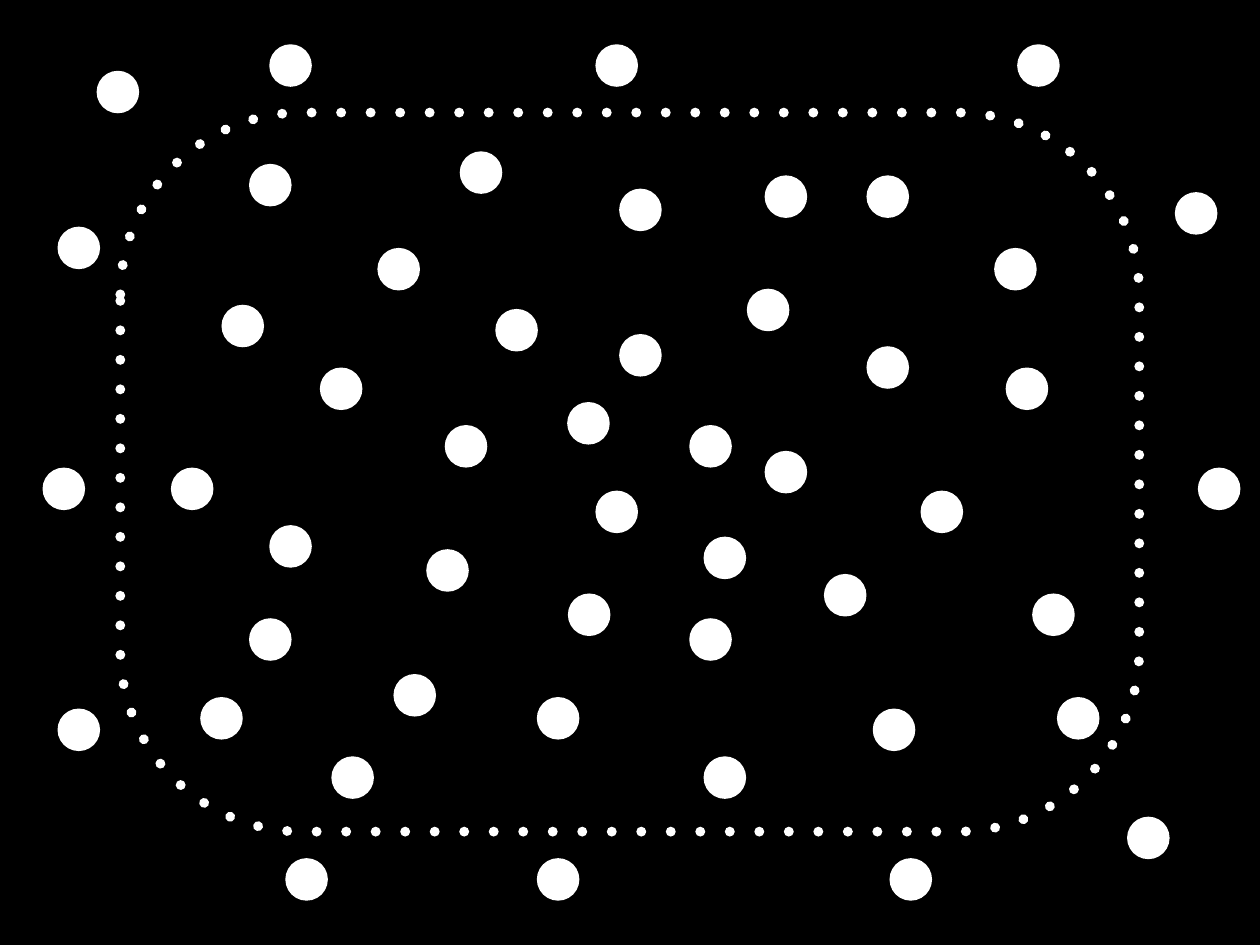
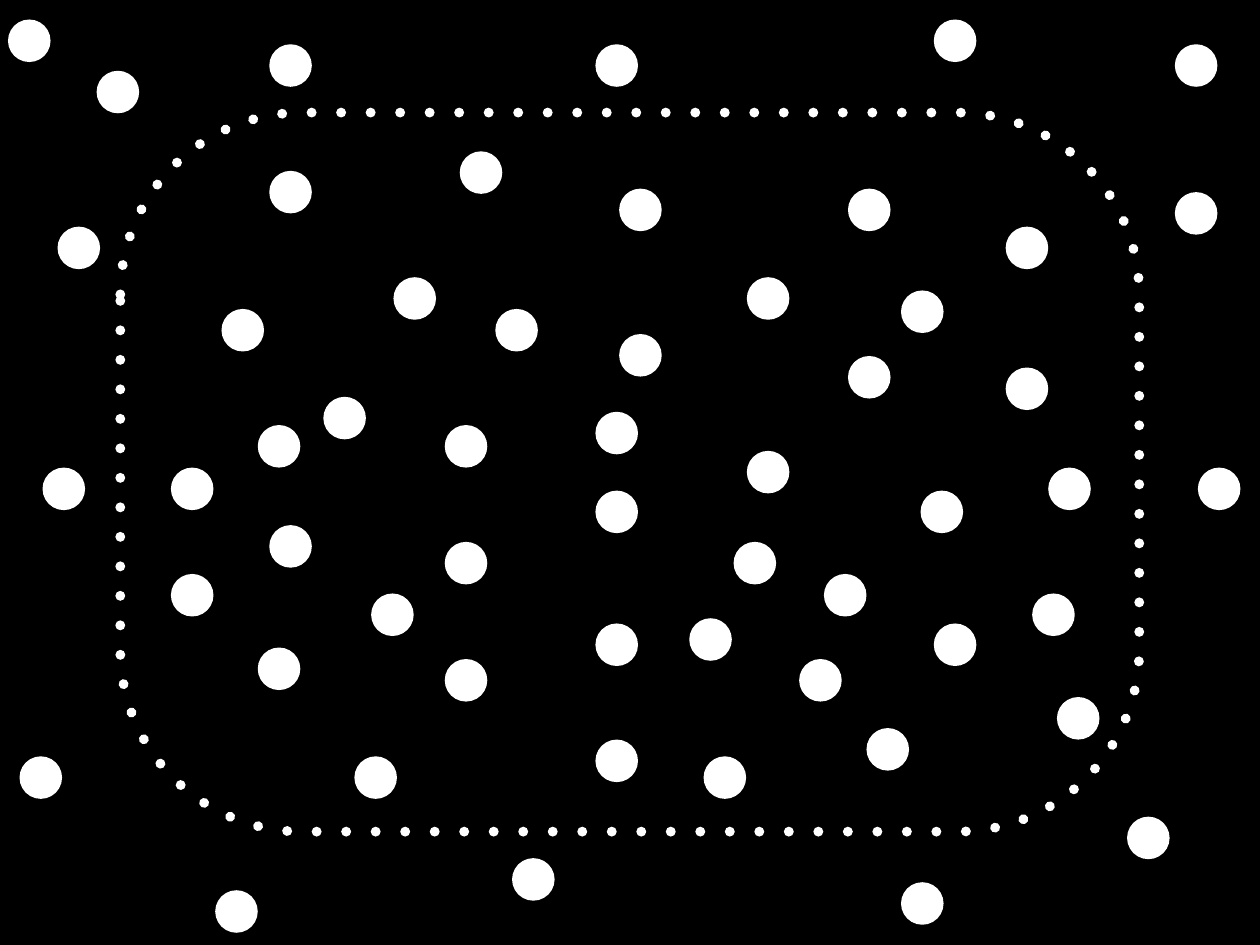
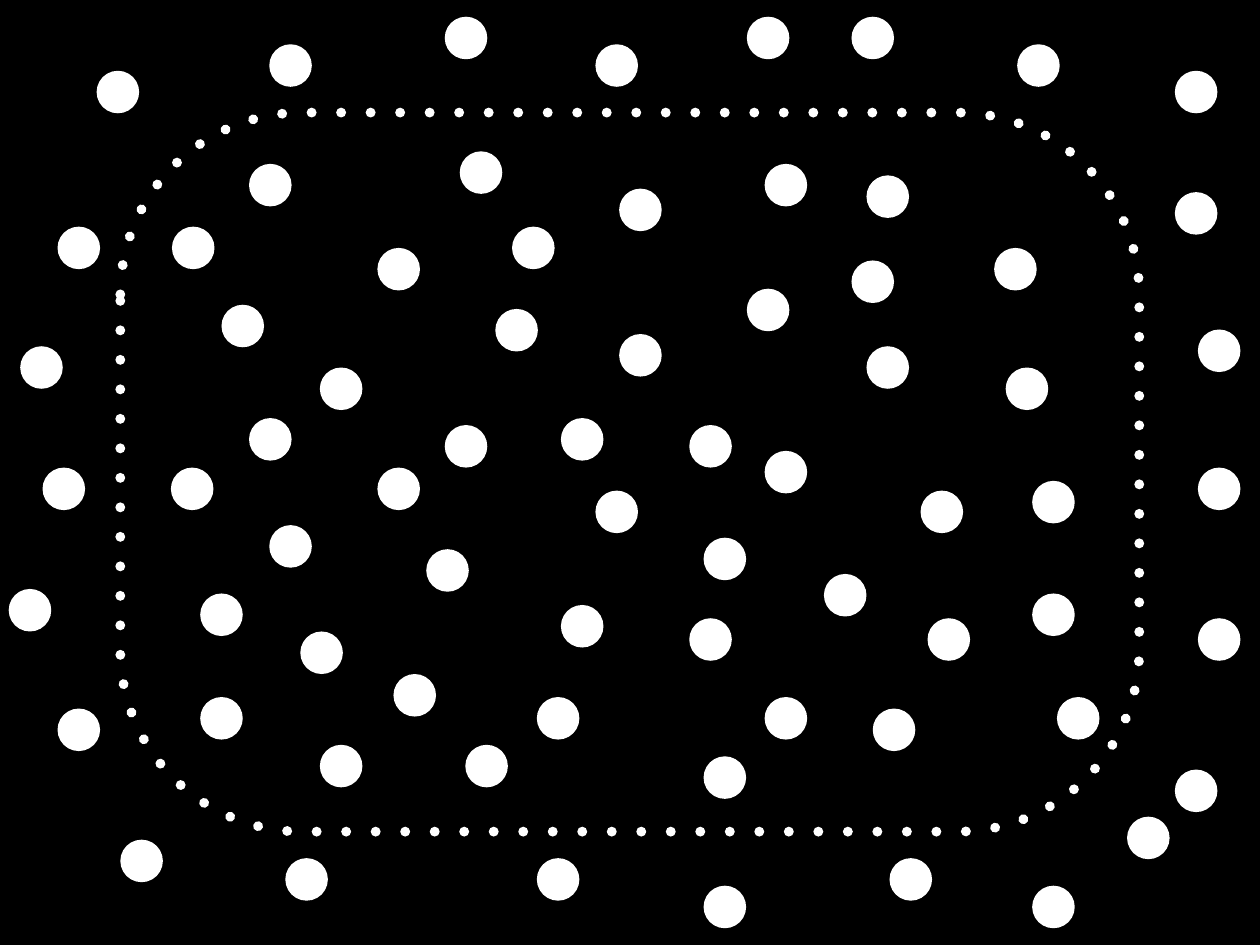
from lxml.etree import SubElement as Sub
from pptx import Presentation
from pptx.dml.color import RGBColor as Rgb
from pptx.enum.shapes import MSO_SHAPE as Shape
from pptx.oxml.ns import qn
from pptx.util import Cm, Pt

BLACK, WHITE = "000000", "FFFFFF"
WIDE, HIGH = 36.12, 27.1
RING = (3.45, 3.23, 29.21, 20.62)
DOT = 1.22

ALL = [
    (7.72, 1.27), (14.2, 8.86), (13.18, 4.34), (7.72, 15.06), (17.75, 9.58),
    (28.83, 10.54), (26.39, 14.07), (29.59, 17.02), (23.62, 16.46),
    (19.76, 17.73), (30.3, 19.99), (32.31, 23.42), (20.17, 21.69),
    (1.22, 13.41), (4.9, 13.41), (12.75, 12.19), (1.65, 6.5), (2.77, 2.03),
    (17.07, 1.27), (33.68, 5.51), (34.34, 13.41), (17.75, 5.41),
    (17.07, 14.07),
]
OUTER = [
    (7.14, 4.7), (10.82, 7.11), (9.17, 10.54), (6.35, 8.74), (12.22, 15.75),
    (21.41, 8.28), (24.84, 5.03), (28.5, 7.11), (24.84, 9.93),
    (21.92, 12.93), (15.39, 19.99), (11.28, 19.33), (5.74, 19.99),
    (25.02, 20.32), (25.5, 24.61), (15.39, 24.61), (8.18, 24.61),
    (1.65, 20.32), (29.16, 1.27), (19.76, 12.19),
]
FIRST = [
    (7.14, 17.73), (9.5, 21.69), (16.28, 17.02), (16.26, 11.53),
    (21.92, 5.03), (20.17, 15.39),
]
SECOND = [
    (7.72, 4.9), (11.28, 7.95), (9.27, 11.38), (6.35, 8.86), (12.75, 15.54),
    (21.41, 7.95), (24.31, 5.41), (33.68, 1.27), (24.31, 10.21),
    (21.41, 12.93), (17.07, 17.88), (12.75, 18.9), (7.39, 18.57),
    (26.77, 17.88), (24.84, 20.88), (17.07, 21.21), (10.16, 21.69),
    (4.9, 16.46), (28.83, 6.5), (0.56, 21.69), (6.17, 25.53),
    (14.68, 24.61), (25.83, 25.3), (26.77, 0.56), (0.23, 0.56),
    (10.64, 17.02), (7.39, 12.19), (17.07, 11.81), (21.03, 15.54),
    (22.91, 18.9), (30.05, 13.41), (25.83, 8.33),
]
THIRD = [
    (8.61, 18.11), (5.74, 17.02), (7.14, 11.99), (10.82, 13.41),
    (16.08, 17.35), (29.59, 13.79), (26.59, 17.73), (21.92, 19.99),
    (20.17, 15.42), (21.92, 4.7), (24.41, 7.47), (14.68, 6.5),
    (16.08, 11.99), (4.93, 6.5), (9.17, 21.36), (13.34, 21.36),
    (3.45, 24.08), (0.58, 9.93), (0.25, 16.89), (12.75, 0.48),
    (24.41, 0.48), (21.41, 0.48), (33.68, 2.03), (34.34, 9.45),
    (34.34, 17.73), (33.68, 22.07), (29.59, 25.4), (20.17, 25.4),
]


def paint(fill, tone):
    fill.solid()
    fill.fore_color.rgb = Rgb.from_string(tone)


def place(slide, kind, box):
    shape = slide.shapes.add_shape(kind, *(Cm(n) for n in box))
    shape.shadow.inherit = False
    return shape


def draw_ring(slide, box):
    ring = place(slide, Shape.ROUNDED_RECTANGLE, box)
    ring.adjustments[0] = 0.253
    ring.fill.background()
    ring.line.width = Pt(8)
    paint(ring.line.fill, WHITE)
    line = ring.line.fill._xPr
    line.set("cap", "rnd")
    dash = Sub(line, qn("a:custDash"))
    Sub(dash, qn("a:ds"), d="100000", sp="200000")
    Sub(line, qn("a:round"))


def draw_dots(slide, box, spots):
    left, top = box[:2]
    for x, y in spots:
        dot = place(slide, Shape.OVAL, (left + x, top + y, DOT, DOT))
        paint(dot.fill, WHITE)
        dot.line.fill.background()


def add_field(deck, spots):
    slide = deck.slides.add_slide(deck.slide_layouts[6])
    draw_ring(slide, RING)
    draw_dots(slide, (0, 0, WIDE, HIGH), spots)


def main():
    deck = Presentation()
    deck.slide_width, deck.slide_height = Cm(WIDE), Cm(HIGH)
    paint(deck.slide_master.background.fill, BLACK)
    for spots in (ALL + OUTER + FIRST, ALL + SECOND, ALL + OUTER + THIRD):
        add_field(deck, spots)
    deck.save("out.pptx")


if __name__ == "__main__":
    main()
